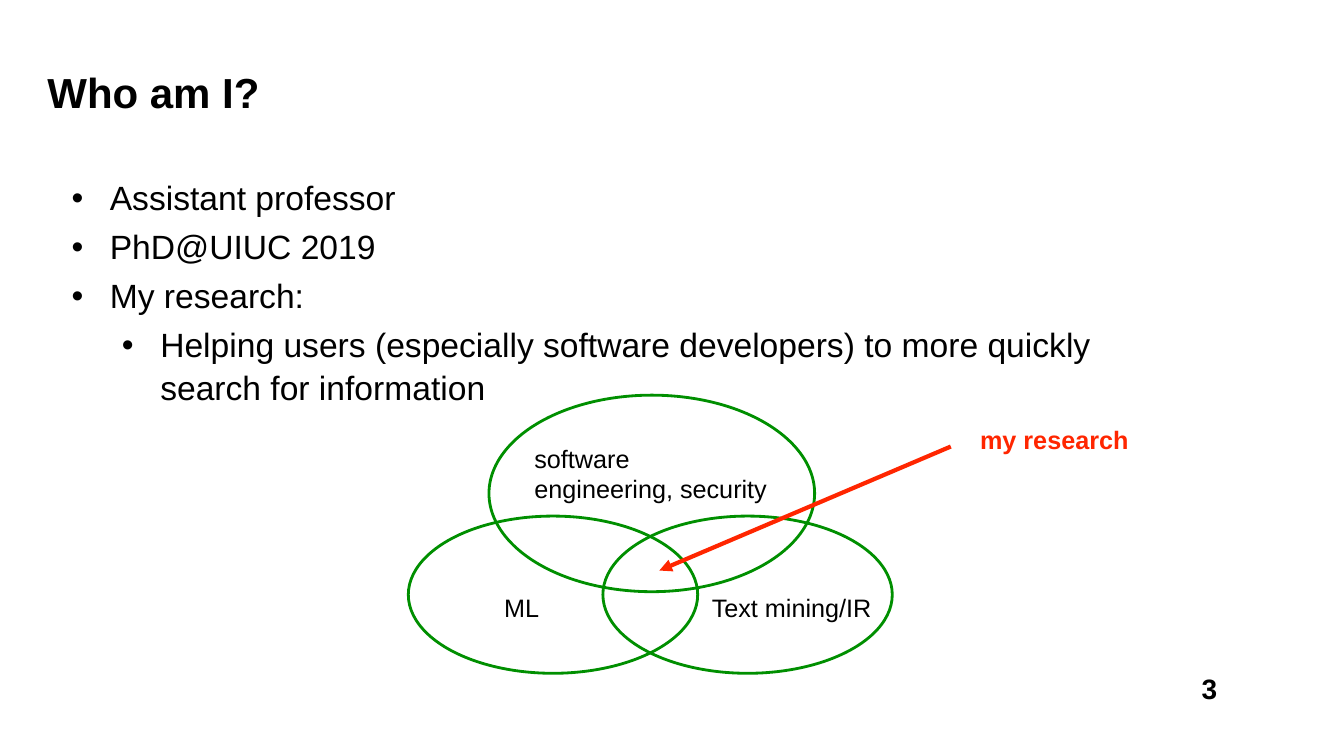
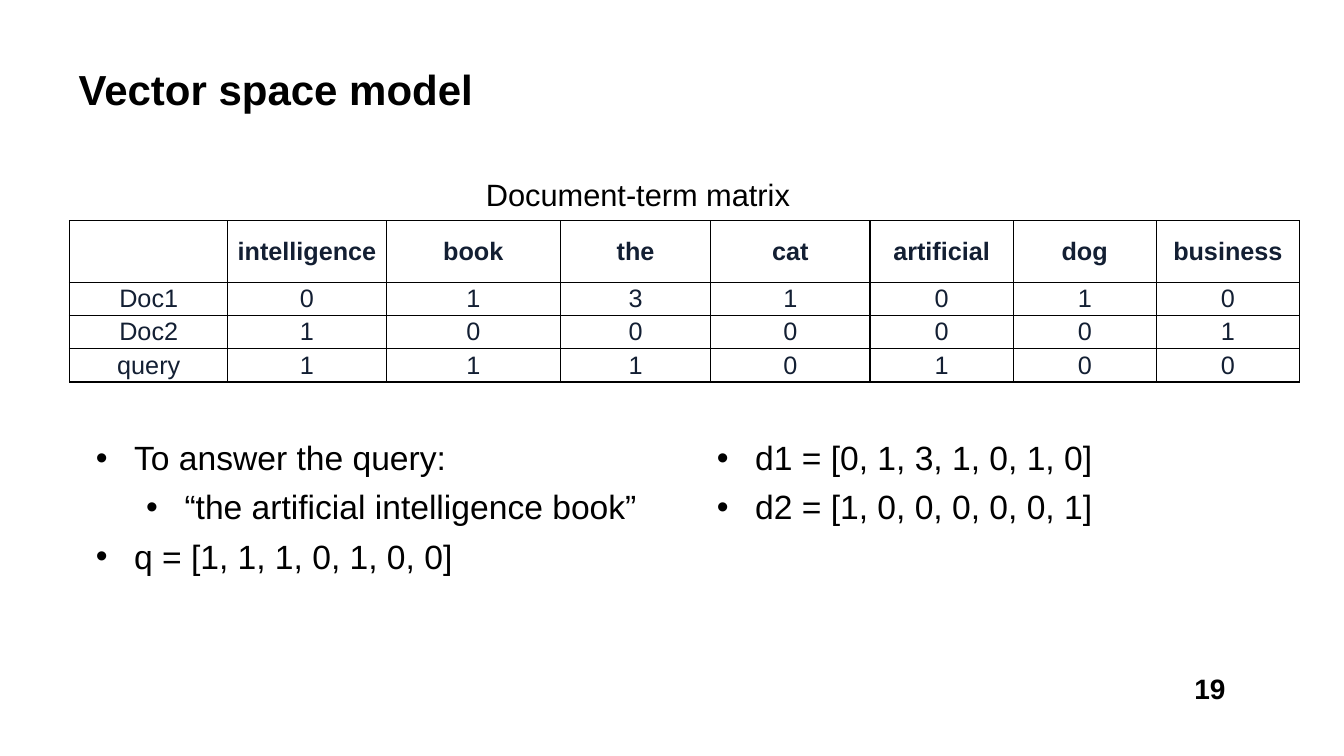
"""Build two lecture slides: an introduction and the vector space model."""
from typing import NamedTuple

from lxml import etree
from pptx import Presentation
from pptx import util as u
from pptx.dml.color import RGBColor
from pptx.enum import shapes, text
from pptx.oxml import ns

Inches, Pt = u.Inches, u.Pt
BLACK = RGBColor(0x00, 0x00, 0x00)
WHITE = RGBColor(0xFF, 0xFF, 0xFF)
GREEN = RGBColor(0x00, 0x8F, 0x00)
RED = RGBColor(0xFF, 0x26, 0x00)
NAVY = RGBColor(0x13, 0x1F, 0x33)
FONT = "Arial"
LEFT, CENTER = text.PP_ALIGN.LEFT, text.PP_ALIGN.CENTER
TOP, MIDDLE = text.MSO_ANCHOR.TOP, text.MSO_ANCHOR.MIDDLE


class Box(NamedTuple):
    """Left, top, width and height in inches."""
    x: float
    y: float
    w: float
    h: float

    def emu(self) -> list:
        return [Inches(v) for v in self]


class Circle(NamedTuple):
    """One field of the Venn diagram with its label."""
    outline: Box
    label: str
    label_box: Box
    wrap: bool = False


class Bullet(NamedTuple):
    """One bulleted line and its level."""
    line: str
    level: int = 0


VENN = [
    Circle(Box(4.85, 3.92, 3.23, 1.95), "software engineering, security",
           Box(5.25, 4.35, 2.48, 0.68), True),
    Circle(Box(4.05, 5.12, 2.87, 1.56), "ML", Box(4.95, 5.83, 0.46, 0.38)),
    Circle(Box(5.98, 5.12, 2.87, 1.56), "Text mining/IR", Box(7.01, 5.83, 1.7, 0.38)),
]
MATRIX = [
    ["", "intelligence", "book", "the", "cat", "artificial", "dog", "business"],
    ["Doc1", "0", "1", "3", "1", "0", "1", "0"],
    ["Doc2", "1", "0", "0", "0", "0", "0", "1"],
    ["query", "1", "1", "1", "0", "1", "0", "0"],
]
COL_WIDTHS = [1.57, 1.57, 1.73, 1.49, 1.58, 1.42, 1.42, 1.42]
ROW_HEIGHTS = [0.61, 0.33, 0.33, 0.33]


def add_xml(parent, tag: str, **attrs: str):
    """Append a DrawingML element and return it."""
    return etree.SubElement(parent, ns.qn(tag), attrs)


def write(p, content: str, *, size: float = 18, color: RGBColor = BLACK,
          bold: bool = False, align=LEFT, spacing=None) -> None:
    """Add a formatted run to a paragraph."""
    p.alignment = align
    if spacing is not None:
        p.line_spacing = spacing
    r = p.add_run()
    r.text = content
    r.font.name, r.font.size, r.font.bold = FONT, Pt(size), bold
    r.font.color.rgb = color


def set_frame(tf, *, margin: float = 0.05, wrap: bool = True, anchor=TOP) -> None:
    """Set the margins, wrapping and anchor of a text frame."""
    tf.margin_left = tf.margin_right = tf.margin_top = tf.margin_bottom = Inches(margin)
    tf.word_wrap = wrap
    tf.auto_size = text.MSO_AUTO_SIZE.NONE
    tf.vertical_anchor = anchor


def add_text(slide, box: Box, content: str, *, fill: RGBColor | None = None,
             margin: float = 0.05, wrap: bool = False, **fmt) -> None:
    """Add a one-paragraph text box."""
    sp = slide.shapes.add_textbox(*box.emu())
    if fill is not None:
        sp.fill.solid()
        sp.fill.fore_color.rgb = fill
    set_frame(sp.text_frame, margin=margin, wrap=wrap)
    write(sp.text_frame.paragraphs[0], content, **fmt)


def add_bullets(slide, box: Box, bullets: list[Bullet]) -> None:
    """Add a text box of bulleted lines."""
    tf = slide.shapes.add_textbox(*box.emu()).text_frame
    set_frame(tf)
    for i, bullet in enumerate(bullets):
        p = tf.add_paragraph() if i else tf.paragraphs[0]
        p.level = bullet.level
        pPr = p._p.get_or_add_pPr()
        pPr.set("marL", str(Inches(0.38 + 0.5 * bullet.level)))
        pPr.set("indent", str(-Inches(0.38)))
        add_xml(pPr, "a:buFont", typeface=FONT)
        add_xml(pPr, "a:buChar", char="•")
        if i:
            p.space_before = Pt(4.8)
        write(p, bullet.line, size=24, spacing=1.05)


def add_slide(prs, title: str, title_at: tuple[float, float], number: str, number_box: Box):
    """Add a slide with its title and page number."""
    slide = prs.slides.add_slide(prs.slide_layouts[5])
    sp = slide.shapes.title
    sp.left, sp.top, sp.width, sp.height = Box(*title_at, 11.54, 0.72).emu()
    set_frame(sp.text_frame, anchor=MIDDLE)
    write(sp.text_frame.paragraphs[0], title, size=30, bold=True, spacing=0.9)
    add_text(slide, number_box, number, margin=0.04, size=20, bold=True, align=CENTER)
    return slide


def add_circle(slide, circle: Circle) -> None:
    """Draw an ellipse outline and its label."""
    sp = slide.shapes.add_shape(shapes.MSO_SHAPE.OVAL, *circle.outline.emu())
    sp.shadow.inherit = False
    sp.fill.background()
    sp.line.color.rgb = GREEN
    sp.line.width = Pt(2)
    add_text(slide, circle.label_box, circle.label, fill=WHITE, wrap=circle.wrap)


def add_arrow(slide, start: tuple[float, float], end: tuple[float, float]) -> None:
    """Draw a red arrow."""
    line = slide.shapes.add_connector(
        shapes.MSO_CONNECTOR.STRAIGHT, *[Inches(v) for v in start + end])
    line.line.color.rgb = RED
    line.line.width = Pt(3)
    add_xml(line.line._get_or_add_ln(), "a:tailEnd", type="triangle")
    add_xml(line._element.spPr, "a:effectLst")


def format_cell(cell, content: str, bold: bool) -> None:
    """Fill, border and write one table cell."""
    tcPr = cell._tc.get_or_add_tcPr()
    for side in ("L", "R", "T", "B"):
        ln = add_xml(tcPr, f"a:ln{side}", w=str(Pt(1)))
        add_xml(add_xml(ln, "a:solidFill"), "a:srgbClr", val=str(BLACK))
    cell.fill.solid()
    cell.fill.fore_color.rgb = WHITE
    cell.margin_left = cell.margin_right = cell.margin_top = cell.margin_bottom = 0
    cell.vertical_anchor = MIDDLE
    if content:
        write(cell.text_frame.paragraphs[0], content, color=NAVY, bold=bold, align=CENTER)


def add_matrix(slide, x: float, y: float) -> None:
    """Add the document-term table."""
    box = Box(x, y, sum(COL_WIDTHS), sum(ROW_HEIGHTS))
    table = slide.shapes.add_table(len(MATRIX), len(COL_WIDTHS), *box.emu()).table
    table.first_row = table.horz_banding = False
    for col, width in zip(table.columns, COL_WIDTHS):
        col.width = Inches(width)
    for i, (row, height) in enumerate(zip(table.rows, ROW_HEIGHTS)):
        row.height = Inches(height)
        for cell, content in zip(row.cells, MATRIX[i]):
            format_cell(cell, content, bold=i == 0)


def build_intro(prs) -> None:
    """Build the introduction slide."""
    slide = add_slide(prs, "Who am I?", (0.42, 0.58), "3", Box(11.87, 6.62, 0.25, 0.39))
    add_bullets(slide, Box(0.66, 1.69, 11.07, 4.62), [
        Bullet("Assistant professor"),
        Bullet("PhD@UIUC 2019"),
        Bullet("My research:"),
        Bullet("Helping users (especially software developers) to more quickly "
               "search for information", 1),
    ])
    for circle in VENN:
        add_circle(slide, circle)
    add_arrow(slide, (9.43, 4.43), (6.54, 5.66))
    add_text(slide, Box(9.67, 4.16, 2.48, 0.38), "my research",
             fill=WHITE, wrap=True, color=RED, bold=True)


def build_vector_model(prs) -> None:
    """Build the vector space model slide."""
    slide = add_slide(prs, "Vector space model", (0.73, 0.55), "19",
                      Box(11.8, 6.62, 0.4, 0.39))
    add_bullets(slide, Box(0.9, 4.27, 6.11, 1.98), [
        Bullet("To answer the query:"),
        Bullet("“the artificial intelligence book”", 1),
        Bullet("q = [1, 1, 1, 0, 1, 0, 0]"),
    ])
    add_matrix(slide, 0.69, 2.19)
    add_text(slide, Box(4.77, 1.51, 3.14, 0.45), "Document-term matrix",
             size=22, spacing=Pt(40))
    add_bullets(slide, Box(7.06, 4.27, 6.11, 1.98), [
        Bullet("d1 = [0, 1, 3, 1, 0, 1, 0]"),
        Bullet("d2 = [1, 0, 0, 0, 0, 0, 1]"),
    ])


def main() -> None:
    """Build and save the presentation."""
    prs = Presentation()
    prs.slide_width, prs.slide_height = Inches(13.33), Inches(7.5)
    build_intro(prs)
    build_vector_model(prs)
    prs.save("out.pptx")


if __name__ == "__main__":
    main()
